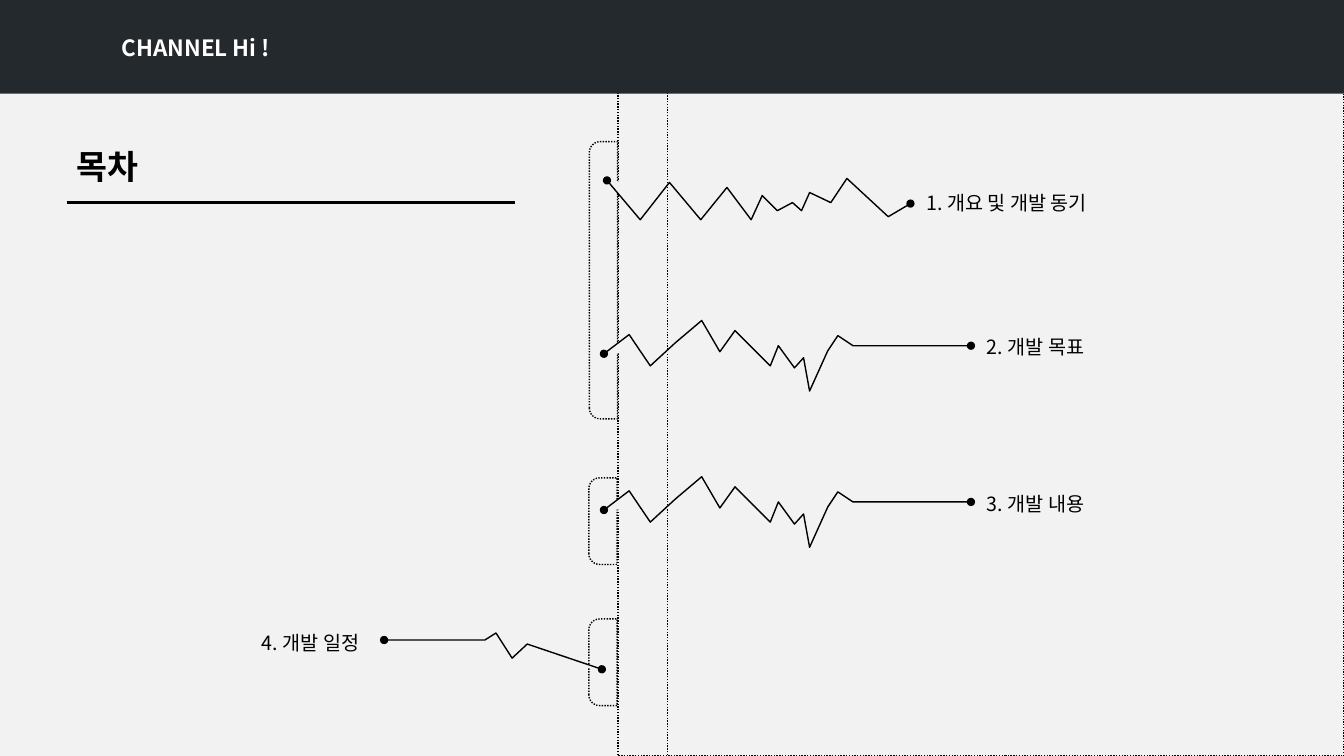
from dataclasses import dataclass

from lxml.etree import SubElement
from pptx import Presentation
from pptx.dml.color import RGBColor
from pptx.enum.dml import MSO_LINE
from pptx.enum.shapes import MSO_CONNECTOR, MSO_SHAPE
from pptx.enum.text import MSO_ANCHOR, MSO_AUTO_SIZE, PP_ALIGN
from pptx.oxml.ns import qn
from pptx.util import Pt

PX = 9144  # EMU per px, 100 px to the inch
WIDTH, HEIGHT = 1333, 750
PAPER, INK, DARK, WHITE = "F2F2F2", "000000", "24292E", "FFFFFF"
FONT = "Noto Sans CJK KR"
FRAME = {
    "auto_size": MSO_AUTO_SIZE.SHAPE_TO_FIT_TEXT,
    "vertical_anchor": MSO_ANCHOR.MIDDLE,
}
PARA = {"alignment": PP_ALIGN.LEFT, "line_spacing": 1.5}

Point = tuple[int, int]


@dataclass
class Box:
    left: int
    top: int
    width: int
    height: int

    def emu(self) -> list[int]:
        return [n * PX for n in (self.left, self.top, self.width, self.height)]


@dataclass
class Label:
    text: str
    box: Box
    size: int = 14
    color: str = INK
    bold: bool = False
    wrap: bool = False
    fill: str | None = PAPER


@dataclass
class Tab:
    top: int
    length: int


@dataclass
class Topic:
    label: Label
    trace: list[Point]


def rgb(code: str) -> RGBColor:
    return RGBColor.from_string(code)


def apply(target, values: dict) -> None:
    for name, value in values.items():
        setattr(target, name, value)


def paint(shape, fill: str, line: bool = False, dotted: bool = False) -> None:
    shape.shadow.inherit = False
    shape.fill.solid()
    shape.fill.fore_color.rgb = rgb(fill)
    if not line:
        shape.line.fill.background()
        return
    shape.line.color.rgb = rgb(INK)
    shape.line.width = Pt(1)
    if dotted:
        shape.line.dash_style = MSO_LINE.ROUND_DOT


def add_rect(shapes, box: Box, fill: str, dotted: bool = False) -> None:
    rect = shapes.add_shape(MSO_SHAPE.RECTANGLE, *box.emu())
    paint(rect, fill, line=dotted, dotted=dotted)


def add_label(shapes, label: Label) -> None:
    if label.fill:
        shape = shapes.add_shape(MSO_SHAPE.RECTANGLE, *label.box.emu())
        paint(shape, label.fill)
    else:
        shape = shapes.add_textbox(*label.box.emu())
    frame = shape.text_frame
    apply(frame, FRAME | {"word_wrap": label.wrap})
    para = frame.paragraphs[0]
    apply(para, PARA)
    run = para.add_run()
    run.text = label.text
    apply(run.font, {"name": FONT, "size": Pt(label.size), "bold": label.bold})
    run.font.color.rgb = rgb(label.color)
    SubElement(run.font._element, qn("a:ea"), typeface=FONT)


def add_tab(shapes, tab: Tab) -> None:
    """Draw a folder tab, a lying shape turned to round its left corners."""
    mid, depth = 598, 28
    half = tab.length // 2
    box = Box(mid - half, tab.top + half - depth // 2, tab.length, depth)
    shape = shapes.add_shape(MSO_SHAPE.ROUND_2_SAME_RECTANGLE, *box.emu())
    shape.rotation = 270
    shape.adjustments[0] = 0.385
    shape.adjustments[1] = 0
    paint(shape, PAPER, line=True, dotted=True)


def add_trace(shapes, points: list[Point]) -> None:
    """Draw an open jagged path with a dot at each end."""
    pen = shapes.build_freeform(*points[0], scale=PX)
    pen.add_line_segments(points[1:], close=False)
    shape = pen.convert_to_shape()
    paint(shape, PAPER, line=True)
    line = shape.line._get_or_add_ln()
    for end in ("a:headEnd", "a:tailEnd"):
        SubElement(line, qn(end), type="oval")


def add_rule(shapes, start: Point, end: Point) -> None:
    ends = [n * PX for n in (*start, *end)]
    rule = shapes.add_connector(MSO_CONNECTOR.STRAIGHT, *ends)
    rule.line.color.rgb = rgb(INK)
    rule.line.width = Pt(2.5)
    SubElement(rule._element.spPr, qn("a:effectLst"))


def shift(points: list[Point], down: int) -> list[Point]:
    return [(x, y + down) for x, y in points]


TITLE = Label("목차", Box(66, 123, 430, 64), 24, bold=True, wrap=True)
BANNER = Label("CHANNEL Hi !", Box(111, 18, 667, 46), 16, WHITE, True, True, None)
TABS = [Tab(141, 275), Tab(474, 86), Tab(614, 86)]

INTRO = [(602, 179), (635, 218), (664, 181), (695, 218), (721, 186), (745, 218),
         (756, 194), (771, 209), (786, 201), (795, 209), (803, 191), (824, 201),
         (840, 177), (881, 215), (903, 202)]
GOAL = [(599, 351), (624, 332), (645, 363), (670, 340), (696, 318), (714, 349),
        (729, 328), (744, 343), (764, 363), (772, 343), (788, 365), (797, 355),
        (803, 388), (821, 348), (831, 333), (846, 343), (963, 343)]
PLAN = [(381, 635), (481, 635), (492, 628), (508, 653), (523, 639), (597, 664)]

TOPICS = [
    Topic(Label("1. 개요 및 개발 동기", Box(909, 175, 200, 41), wrap=True), INTRO),
    Topic(Label("2. 개발 목표", Box(969, 318, 123, 41)), GOAL),
    Topic(Label("3. 개발 내용", Box(969, 473, 123, 41)), shift(GOAL, 155)),
    Topic(Label("4. 개발 일정", Box(250, 611, 123, 41)), PLAN),
]


def main() -> None:
    deck = Presentation()
    apply(deck, {"slide_width": WIDTH * PX, "slide_height": HEIGHT * PX})
    slide = deck.slides.add_slide(deck.slide_layouts[6])
    slide.background.fill.solid()
    slide.background.fill.fore_color.rgb = rgb(PAPER)
    shapes = slide.shapes

    add_label(shapes, TITLE)
    add_rect(shapes, Box(613, 0, WIDTH - 613, HEIGHT), PAPER, dotted=True)
    for tab in TABS:
        add_tab(shapes, tab)
    add_rect(shapes, Box(662, 0, WIDTH - 662, HEIGHT), PAPER, dotted=True)
    for topic in TOPICS:
        add_trace(shapes, topic.trace)
        add_label(shapes, topic.label)
    add_rule(shapes, (66, 201), (511, 201))

    header = shapes.add_group_shape().shapes
    add_rect(header, Box(0, 0, WIDTH, 93), DARK)
    add_label(header, BANNER)
    deck.save("out.pptx")


if __name__ == "__main__":
    main()
